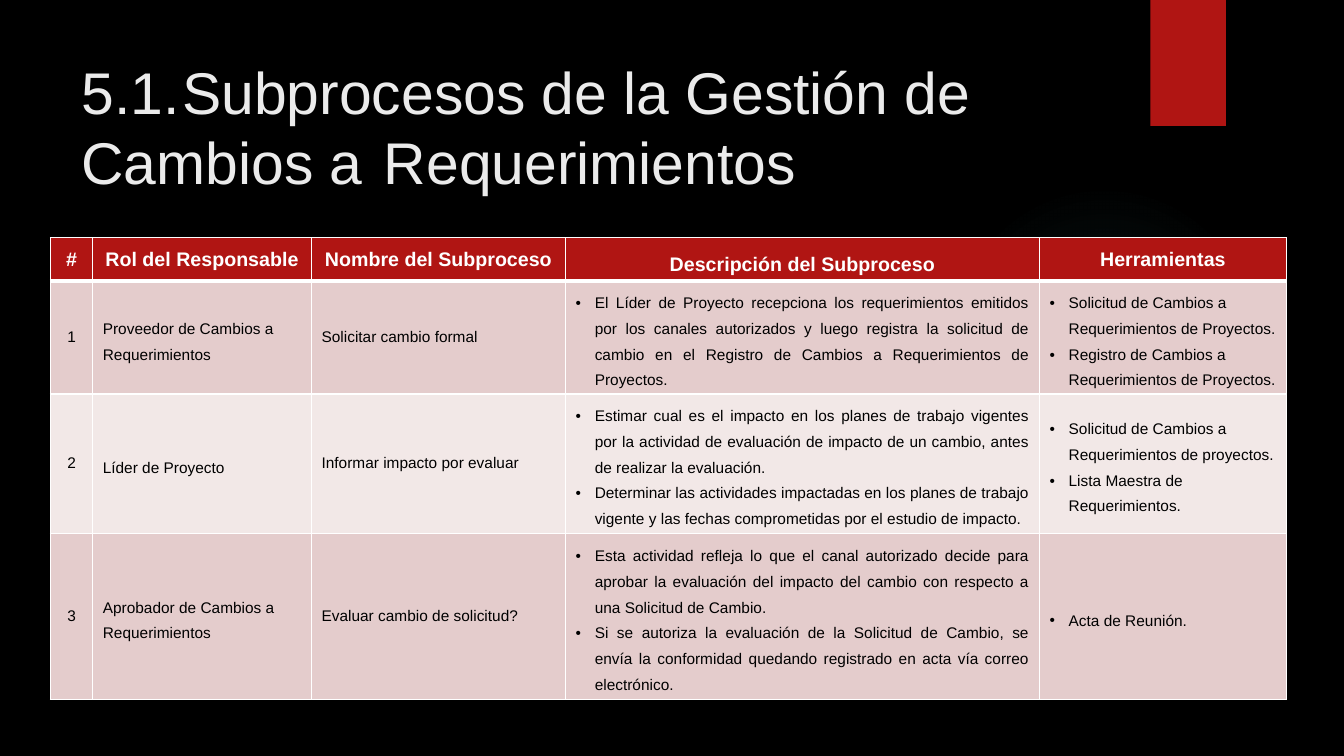
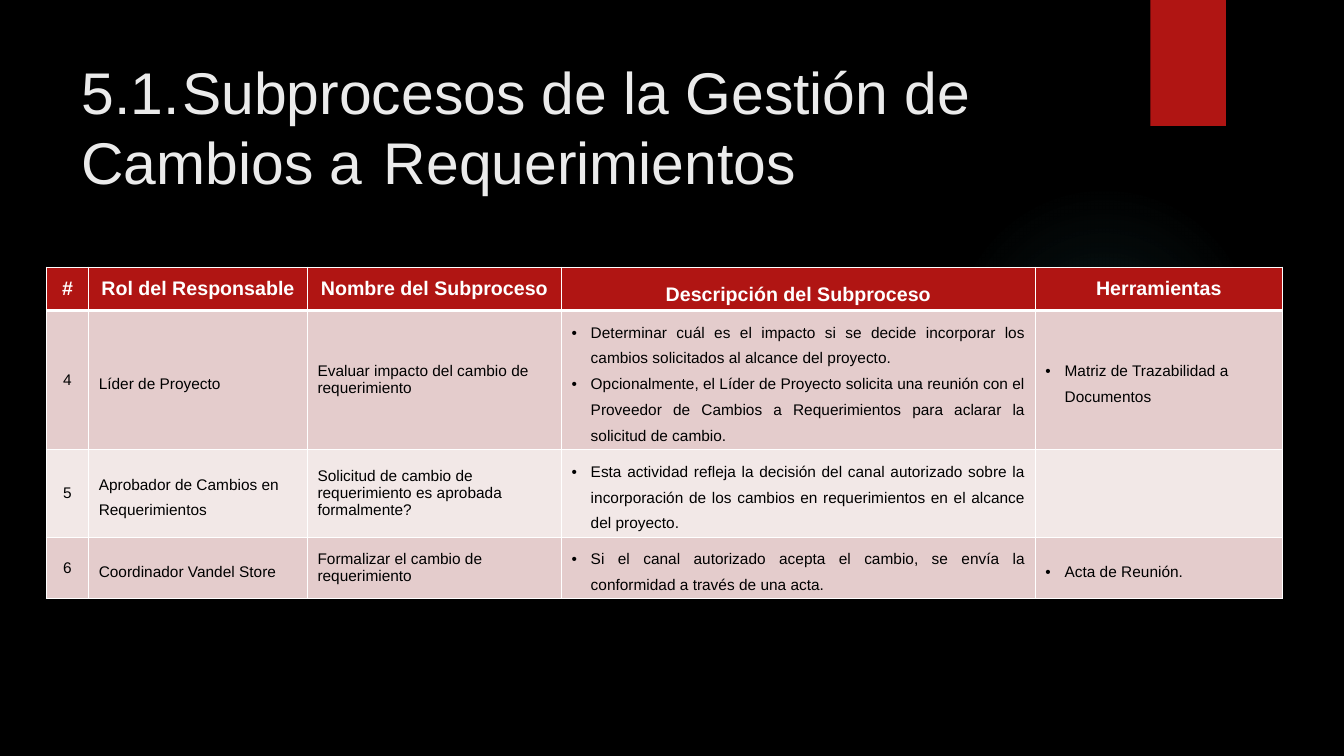
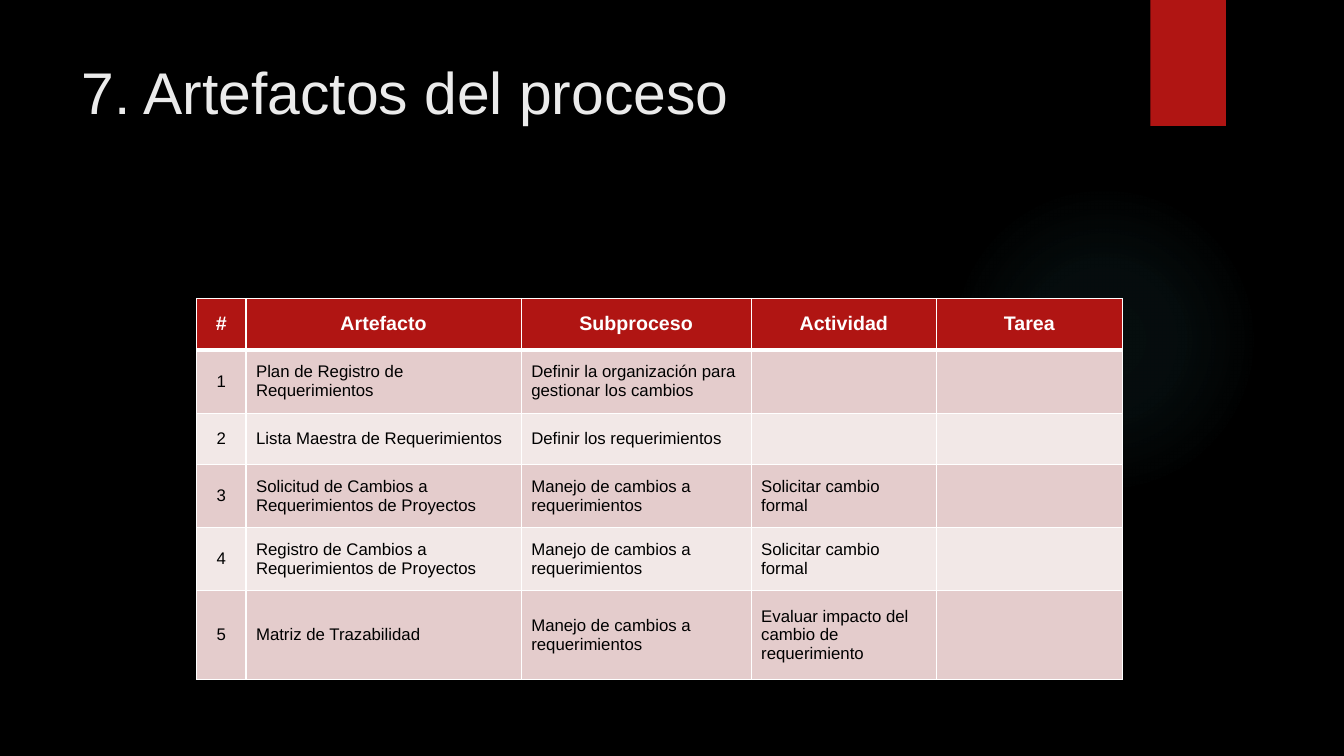
from dataclasses import dataclass

from lxml import etree
from pptx import Presentation
from pptx.dml.color import RGBColor as RGB
from pptx.enum.shapes import MSO_SHAPE as Kind
from pptx.enum.text import MSO_ANCHOR as Anchor, PP_ALIGN as Align
from pptx.oxml import parse_xml
from pptx.oxml.ns import nsdecls, qn
from pptx.util import Inches, Pt


@dataclass(frozen=True)
class Theme:
    back: str = "000000"
    red: str = "B01513"
    glow: str = "50B9C1"
    title: str = "EBEBEB"
    line: str = "FFFFFF"
    head: str = "FFFFFF"
    text: str = "000000"
    bands: tuple = ("E4CCCC", "F2E8E7")
    font: str = "Arial"
    big: int = 42
    mid: int = 14


T = Theme()

# Content: column = (heading, width, style); the row number is counted
STEPS = "5.1.\tSubprocesos de la Gestión de Cambios a \tRequerimientos"
ROLES = [
    ("#", 0.42, "num"),
    ("Rol del Responsable", 2.17, "loose"),
    ("Nombre del Subproceso", 2.52, "plain"),
    ("Descripción del Subproceso", 4.7, "just"),
    ("Herramientas", 2.45, "list"),
]
ITEMS = [
    ("#", 0.49, "num"),
    ("Artefacto", 2.73, "plain"),
    ("Subproceso", 2.28, "plain"),
    ("Actividad", 1.84, "plain"),
    ("Tarea", 1.84, "plain"),
]
MANAGE = "Manejo de cambios a requerimientos"

SLIDES = [
    dict(title=STEPS, at=(0.5, 2.36), cols=ROLES, first=1, size=11, pad=0,
         tall=[0.43, 1.12, 1.38, 1.64], rows=[
        ("Proveedor de Cambios a Requerimientos",
         "Solicitar cambio formal",
         ["El Líder de Proyecto recepciona los requerimientos emitidos por los "
          "canales autorizados y luego registra la solicitud de cambio en el "
          "Registro de Cambios a Requerimientos de Proyectos."],
         ["Solicitud de Cambios a Requerimientos de Proyectos.",
          "Registro de Cambios a Requerimientos de Proyectos."]),
        ("Líder de Proyecto",
         "Informar impacto por evaluar",
         ["Estimar cual es el impacto en los planes de trabajo vigentes por la "
          "actividad de evaluación de impacto de un cambio, antes de realizar "
          "la evaluación.",
          "Determinar las actividades impactadas en los planes de trabajo "
          "vigente y las fechas comprometidas por el estudio de impacto."],
         ["Solicitud de Cambios a Requerimientos de proyectos.",
          "Lista Maestra de Requerimientos."]),
        ("Aprobador de Cambios a Requerimientos",
         "Evaluar cambio de solicitud?",
         ["Esta actividad refleja lo que el canal autorizado decide para "
          "aprobar la evaluación del impacto del cambio con respecto a una "
          "Solicitud de Cambio.",
          "Si se autoriza la evaluación de la Solicitud de Cambio, se envía la "
          "conformidad quedando registrado en acta vía correo electrónico."],
         ["Acta de Reunión."]),
    ]),
    dict(title=STEPS, at=(0.46, 2.65), cols=ROLES, first=4, size=11, pad=0,
         tall=[0.43, 1.38, 0.87, 0.61], rows=[
        ("Líder de Proyecto",
         "Evaluar impacto del cambio de requerimiento",
         ["Determinar cuál es el impacto si se decide incorporar los cambios "
          "solicitados al alcance del proyecto.",
          "Opcionalmente, el Líder de Proyecto solicita una reunión con el "
          "Proveedor de Cambios a Requerimientos para aclarar la solicitud de "
          "cambio."],
         ["Matriz de Trazabilidad a Documentos"]),
        ("Aprobador de Cambios en Requerimientos",
         "Solicitud de cambio de requerimiento es aprobada formalmente?",
         ["Esta actividad refleja la decisión del canal autorizado sobre la "
          "incorporación de los cambios en requerimientos en el alcance del "
          "proyecto."],
         []),
        ("Coordinador Vandel Store",
         "Formalizar el cambio de requerimiento",
         ["Si el canal autorizado acepta el cambio, se envía la conformidad a "
          "través de una acta."],
         ["Acta de Reunión."]),
    ]),
    dict(title="7. Artefactos del proceso", at=(1.95, 2.96), cols=ITEMS,
         first=1, size=12, pad=0.05,
         tall=[0.51, 0.63, 0.51, 0.62, 0.63, 0.88], rows=[
        ("Plan de Registro de Requerimientos",
         "Definir la organización para gestionar los cambios", "", ""),
        ("Lista Maestra de Requerimientos",
         "Definir los requerimientos", "", ""),
        ("Solicitud de Cambios a Requerimientos de Proyectos",
         MANAGE, "Solicitar cambio formal", ""),
        ("Registro de Cambios a Requerimientos de Proyectos",
         MANAGE, "Solicitar cambio formal", ""),
        ("Matriz de Trazabilidad",
         MANAGE, "Evaluar impacto del cambio de requerimiento", ""),
    ]),
]

# Column style: alignment, line spacing, bullets
STYLES = {
    "num": (Align.CENTER, None, False),
    "plain": (Align.LEFT, None, False),
    "loose": (Align.LEFT, 1.5, False),
    "just": (Align.JUSTIFY, 1.5, True),
    "list": (Align.LEFT, 1.5, True),
}


def ink(part, size, color, bold=False):
    font = part.font
    font.name, font.size, font.bold = T.font, Pt(size), bold
    font.color.rgb = RGB.from_string(color)


def paint(fill, color):
    fill.solid()
    fill.fore_color.rgb = RGB.from_string(color)


def block(slide, kind, *box):
    shape = slide.shapes.add_shape(kind, *map(Inches, box))
    shape.shadow.inherit = False
    shape.line.fill.background()
    return shape


# Shared parts: glow, red tab, title
def frame(slide, title):
    glow = block(slide, Kind.OVAL, 9.41, 1.83, 3.08, 3.08)
    stops = "".join(
        f'<a:gs pos="{pos * 1000}"><a:srgbClr val="{T.glow}">'
        f'<a:alpha val="{alpha * 1000}"/></a:srgbClr></a:gs>'
        for pos, alpha in ((0, 7), (36, 6), (69, 0), (100, 0)))
    grad = parse_xml(
        f'<a:gradFill {nsdecls("a")}><a:gsLst>{stops}</a:gsLst>'
        '<a:path path="circle"><a:fillToRect l="50000" t="50000" r="50000" '
        'b="50000"/></a:path></a:gradFill>')
    glow._element.spPr.find(qn("a:prstGeom")).addnext(grad)

    tab = block(slide, Kind.RECTANGLE, 11.41, 0, 0.75, 1.25)
    paint(tab.fill, T.red)

    box = slide.shapes.add_textbox(*map(Inches, (0.71, 0.5, 10.29, 1.53)))
    text = box.text_frame
    text.word_wrap = True
    text.text = title
    ink(text.paragraphs[0].runs[0], T.big, T.title)


def edge(cell, top, base):
    props = cell._tc.get_or_add_tcPr()
    for side, width in zip("LRTB", (1, 1, top, base)):
        props.append(parse_xml(
            f'<a:ln{side} {nsdecls("a")} w="{Pt(width)}"><a:solidFill>'
            f'<a:srgbClr val="{T.line}"/></a:solidFill></a:ln{side}>'))


def bullet(para):
    props = para._p.get_or_add_pPr()
    gap = Inches(0.19)
    props.set("marL", str(gap))
    props.set("indent", str(-gap))
    etree.SubElement(props, qn("a:buFont")).set("typeface", T.font)
    etree.SubElement(props, qn("a:buChar")).set("char", "•")


def write(cell, value, style, size, head):
    align, space, dots = STYLES[style]
    lines = value if isinstance(value, list) else [value]
    cell.vertical_anchor = Anchor.MIDDLE
    cell.text_frame.text = "\n".join(lines)
    for para in cell.text_frame.paragraphs:
        if dots and not head and para.text:
            bullet(para)
        para.alignment = Align.CENTER if head else align
        if space and (not head or style == "just"):
            para.line_spacing = space
        for part in (para, *para.runs):
            ink(part, size, T.head if head else T.text, head)


def grid(slide, at, cols, first, size, pad, tall, rows):
    heads, wide, styles = zip(*cols)
    data = [heads] + [(str(n), *row) for n, row in enumerate(rows, first)]
    box = map(Inches, (*at, sum(wide), sum(tall)))
    table = slide.shapes.add_table(len(data), len(cols), *box).table
    table.horz_banding = False
    for col, width in zip(table.columns, wide):
        col.width = Inches(width)
    for r, row in enumerate(data):
        head = r == 0
        table.rows[r].height = Inches(tall[r])
        for c, value in enumerate(row):
            cell = table.cell(r, c)
            cell.margin_top = cell.margin_bottom = Inches(pad)
            write(cell, value, styles[c], T.mid if head else size, head)
            edge(cell, 3 if r == 1 else 1, 3 if head else 1)
            paint(cell.fill, T.red if head else T.bands[(r - 1) % 2])


def main():
    deck = Presentation()
    deck.slide_width, deck.slide_height = Inches(13.33), Inches(7.5)
    paint(deck.slide_master.background.fill, T.back)
    for page in SLIDES:
        slide = deck.slides.add_slide(deck.slide_layouts[6])
        frame(slide, page["title"])
        grid(slide, **{k: v for k, v in page.items() if k != "title"})
    deck.save("out.pptx")


if __name__ == "__main__":
    main()
